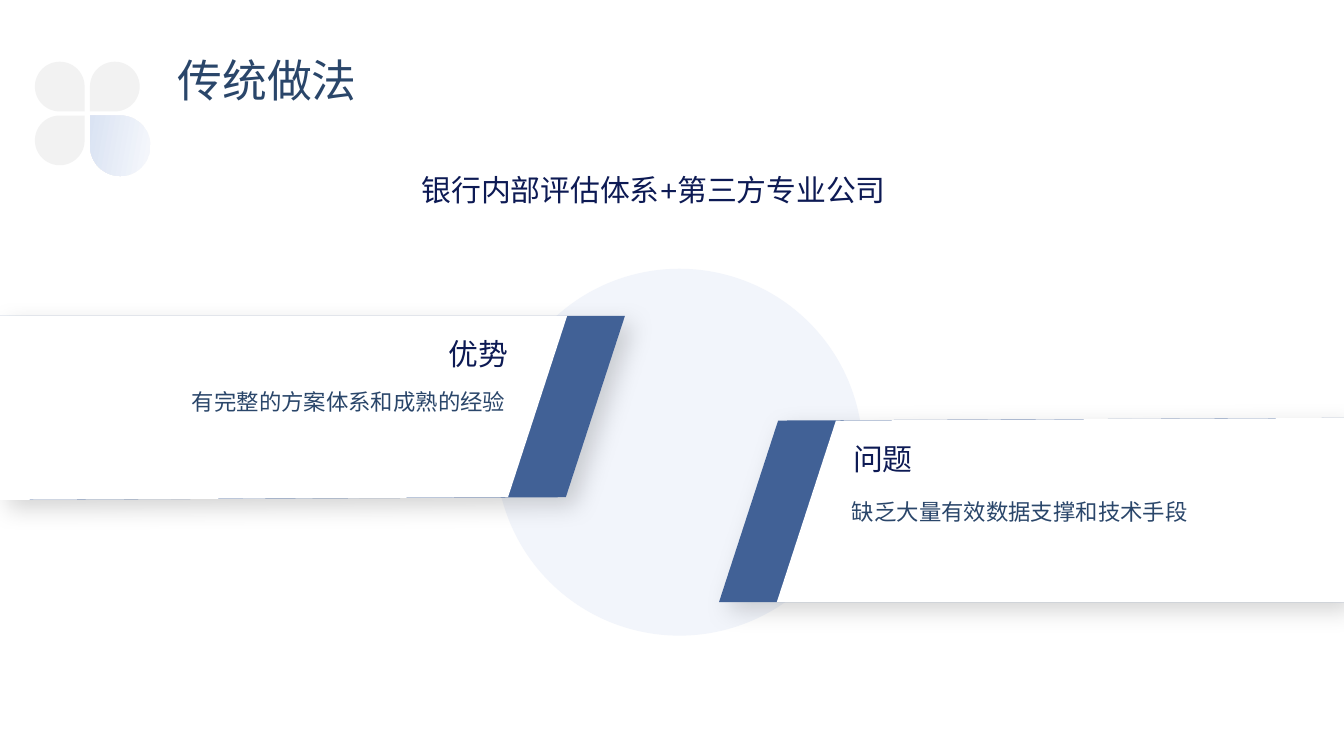
"""Build the slide on traditional practice: two facing panels around a circle."""
from lxml.etree import SubElement
from pptx import Presentation
from pptx.dml.color import RGBColor
from pptx.enum.shapes import MSO_SHAPE
from pptx.enum.text import MSO_ANCHOR, MSO_AUTO_SIZE, PP_ALIGN
from pptx.oxml.ns import qn
from pptx.util import Inches, Pt

COLORS = {"petal": "F2F2F2", "light": "F6F8FC", "pale": "DAE3F3", "circle": "F2F5FB",
          "blue": "416196", "white": "FFFFFF", "navy": "0D1A54", "slate": "2A466A",
          "shadow": "000000"}
TITLE = ("传统做法", (1.22, 0.39, 5.04, 0.86), 24, "slate", PP_ALIGN.LEFT, 0.9)
TEXTS = [
    ("优势", (3.24, 2.48, 0.74, 0.34), 16, "navy", PP_ALIGN.LEFT, 0.9),
    ("问题", (6.25, 3.26, 0.74, 0.34), 16, "navy", PP_ALIGN.LEFT, 0.9),
    ("有完整的方案体系和成熟的经验", (1.33, 2.84, 2.64, 0.3), 12, "slate", PP_ALIGN.LEFT, 1.0),
    ("缺乏大量有效数据支撑和技术手段", (6.24, 3.66, 2.99, 0.3), 12, "slate", PP_ALIGN.LEFT, 1.0),
    ("银行内部评估体系+第三方专业公司", (1.96, 1.26, 5.81, 0.34), 16, "navy", PP_ALIGN.CENTER, 0.9),
]
# column, row, size, flips
PETALS = [(0, 1, 0.37, ""), (1, 0, 0.37, "HV"), (0, 0, 0.37, "V"), (1, 1, 0.45, "H")]
PETAL_LEFT, PETAL_TOP, COL_STEP, ROW_STEP = 0.26, 0.46, 0.41, 0.4
WIDTH = 10
HEIGHT = WIDTH * 9 / 16
PANEL_TOP, PANEL_BOTTOM, SLANT, STRIP = 2.35, 3.72, 0.44, 0.43
PANEL_RIGHT, PAIR_HEIGHT = 4.65, 6.83


def rgb(name):
    return RGBColor.from_string(COLORS[name])


def paint(shape, color):
    shape.shadow.inherit = False
    shape.fill.solid()
    shape.fill.fore_color.rgb = rgb(color)
    shape.line.fill.background()


def add_shadow(shape):
    effects = shape._element.spPr.find(qn("a:effectLst"))
    shadow = SubElement(effects, qn("a:outerShdw"), blurRad=str(Pt(13)), dist=str(Pt(6)),
                        dir="2700000", algn="tl", rotWithShape="0")
    color = SubElement(shadow, qn("a:srgbClr"), val=COLORS["shadow"])
    SubElement(color, qn("a:alpha"), val="16000")


def add_panel(shapes, right, color, turned):
    points = [(0, PANEL_TOP), (right, PANEL_TOP), (right - SLANT, PANEL_BOTTOM - 0.02),
              (0, PANEL_BOTTOM)]
    if turned:
        points = [(WIDTH - x, PAIR_HEIGHT - y) for x, y in points]
    points = [(Inches(x), Inches(y)) for x, y in points]
    builder = shapes.build_freeform(*points[0], scale=1)
    builder.add_line_segments(points[1:], close=True)
    panel = builder.convert_to_shape()
    paint(panel, color)
    return panel


def write(shape, text, size, color, align, spacing, auto_size):
    tf = shape.text_frame
    tf.word_wrap = True
    tf.auto_size = auto_size
    tf.vertical_anchor = MSO_ANCHOR.TOP
    p = tf.paragraphs[0]
    p.text = text
    p.alignment = align
    p.line_spacing = spacing
    p.font.name = "Arial"
    p.font.size = Pt(size)
    p.font.color.rgb = rgb(color)


def main():
    prs = Presentation()
    prs.slide_width, prs.slide_height = Inches(WIDTH), Inches(HEIGHT)
    s = prs.slides.add_slide(prs.slide_layouts[5])

    petals = s.shapes.add_group_shape().shapes
    for col, row, size, flips in PETALS:
        petal = petals.add_shape(MSO_SHAPE.TEAR, Inches(PETAL_LEFT + col * COL_STEP),
                                 Inches(PETAL_TOP + row * ROW_STEP), Inches(size), Inches(size))
        paint(petal, "petal")
        for axis in flips:
            petal._element.spPr.xfrm.set("flip" + axis, "1")
    petal.fill.gradient()
    petal.fill.gradient_angle = 10
    for stop, name in zip(petal.fill.gradient_stops, ("light", "pale")):
        stop.color.rgb = rgb(name)

    text, box, *style = TITLE
    title = s.shapes.title
    title.left, title.top, title.width, title.height = map(Inches, box)
    write(title, text, *style, MSO_AUTO_SIZE.NONE)

    circle = s.shapes.add_shape(MSO_SHAPE.OVAL, Inches(3.69), Inches(2), Inches(2.73), Inches(2.73))
    paint(circle, "circle")

    for turned in (False, True):
        shapes = s.shapes.add_group_shape().shapes
        add_shadow(add_panel(shapes, PANEL_RIGHT, "blue", turned))
        add_panel(shapes, PANEL_RIGHT - STRIP, "white", turned)

    for text, box, *style in TEXTS:
        write(s.shapes.add_textbox(*map(Inches, box)), text, *style, MSO_AUTO_SIZE.SHAPE_TO_FIT_TEXT)

    prs.save("out.pptx")


if __name__ == "__main__":
    main()
